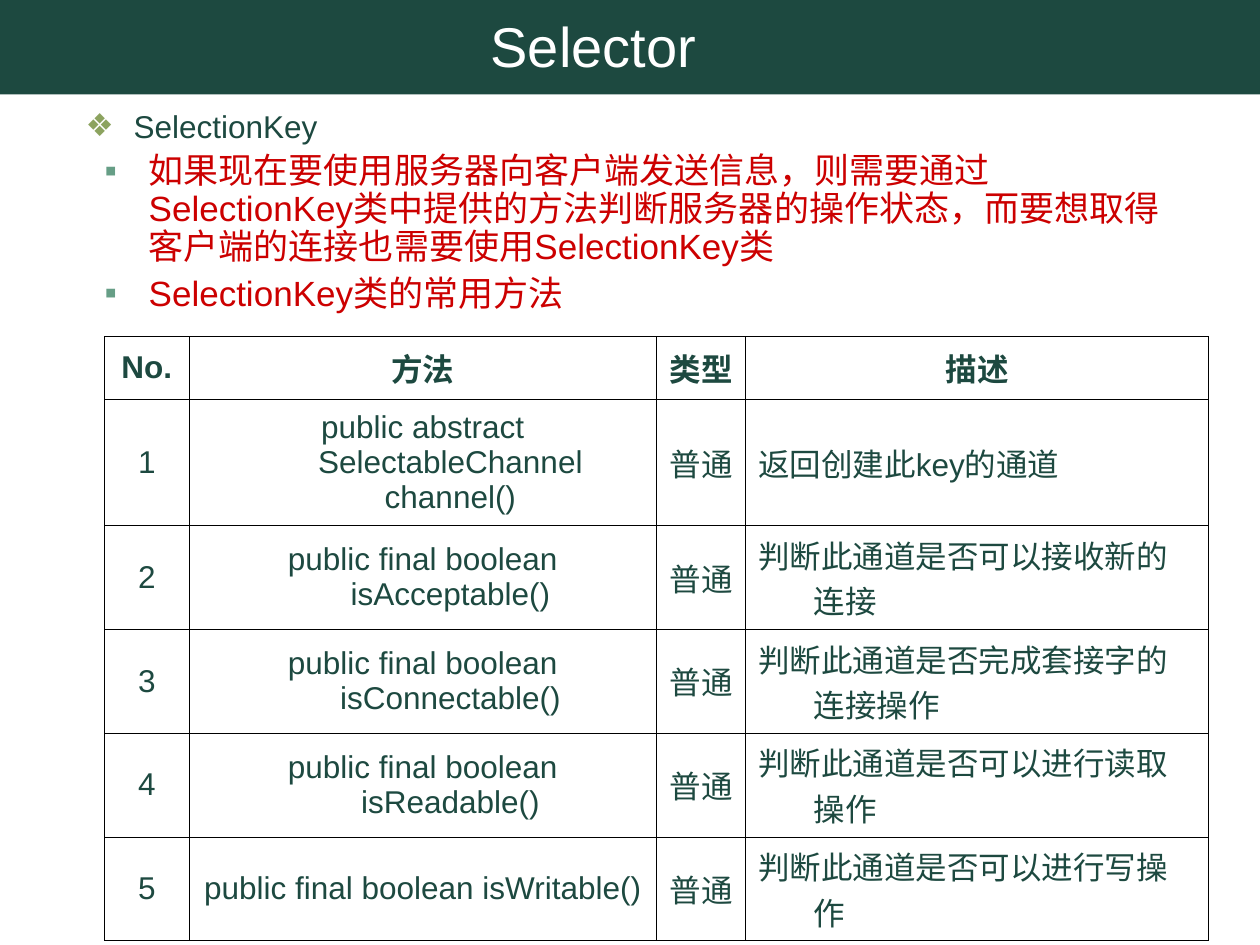
from lxml import etree
from pptx import Presentation
from pptx.dml.color import RGBColor
from pptx.enum.lang import MSO_LANGUAGE_ID
from pptx.enum.shapes import MSO_SHAPE
from pptx.enum.text import MSO_ANCHOR, MSO_AUTO_SIZE, PP_ALIGN
from pptx.oxml.ns import qn
from pptx.util import Inches, Pt

CENTER, LEFT = PP_ALIGN.CENTER, PP_ALIGN.LEFT
MIDDLE, TOP = MSO_ANCHOR.MIDDLE, MSO_ANCHOR.TOP
RECTANGLE = MSO_SHAPE.RECTANGLE
NO_AUTOFIT = MSO_AUTO_SIZE.NONE
CHINESE = MSO_LANGUAGE_ID.SIMPLIFIED_CHINESE

FONT = "Arial"
COLORS = {
    "green": "1D4940",
    "white": "FFFFFF",
    "red": "CC0000",
    "diamond": "8CA35F",
    "square": "669E86",
    "border": "000000",
}

# level, text, size, colour, space before, left margin, indent, bullet, bullet colour
POINT_STYLES = [
    (18, "green", 4.5, 0.38, -0.38, "❖", "diamond"),
    (20, "red", 5, 0.5, -0.35, "▪", "square"),
]
POINTS = [
    (0, "SelectionKey"),
    (1, "如果现在要使用服务器向客户端发送信息，则需要通过SelectionKey类中提供的方法判断服务器的"
        "操作状态，而要想取得客户端的连接也需要使用SelectionKey类"),
    (1, "SelectionKey类的常用方法"),
]

HEADINGS = ["No.", "方法", "类型", "描述"]
METHODS = [
    ("public abstract SelectableChannel channel()", "返回创建此key的通道"),
    ("public final boolean isAcceptable()", "判断此通道是否可以接收新的连接"),
    ("public final boolean isConnectable()", "判断此通道是否完成套接字的连接操作"),
    ("public final boolean isReadable()", "判断此通道是否可以进行读取操作"),
    ("public final boolean isWritable()", "判断此通道是否可以进行写操作"),
]
COLUMN_WIDTHS = [0.67, 3.71, 0.71, 3.67]
ROW_HEIGHTS = [0.5, 1, 0.7, 0.7, 0.7, 0.7]


def color(name):
    """Return the named colour."""
    return RGBColor.from_string(COLORS[name])


def place(shape, left, top, width, height):
    """Move and size a shape, in inches."""
    shape.left, shape.top = Inches(left), Inches(top)
    shape.width, shape.height = Inches(width), Inches(height)


def format_runs(paragraph, size, color_name, bold=False):
    """Format every run of a paragraph."""
    for run in paragraph.runs:
        font = run.font
        font.name, font.size, font.bold = FONT, Pt(size), bold
        font.color.rgb = color(color_name)
        font.language_id = CHINESE


def set_indent(paragraph, margin, indent):
    """Set the left margin and first line indent; return the properties."""
    properties = paragraph._p.get_or_add_pPr()
    properties.set("marL", str(Inches(margin)))
    properties.set("indent", str(Inches(indent)))
    return properties


def add_title(slide, left, top, width, height):
    """Draw the title band and set the title over it."""
    title = slide.shapes.title
    band = slide.shapes.add_shape(
        RECTANGLE, Inches(left), Inches(top), Inches(width), Inches(height))
    band.shadow.inherit = False
    band.fill.solid()
    band.fill.fore_color.rgb = color("green")
    band.line.fill.background()
    title.element.addprevious(band.element)

    place(title, left + 0.68, top + 0.05, 8.08, 0.62)
    frame = title.text_frame
    frame.text = "Selector"
    frame.auto_size = NO_AUTOFIT
    frame.vertical_anchor = MIDDLE
    frame.paragraphs[0].alignment = CENTER
    format_runs(frame.paragraphs[0], 32, "white")


def add_points(slide, left, top, width, height):
    """Fill the body placeholder with the bulleted points."""
    body = slide.placeholders[1]
    place(body, left, top, width, height)
    frame = body.text_frame
    frame.text = "\n".join(text for _, text in POINTS)
    frame.auto_size = NO_AUTOFIT
    frame.vertical_anchor = TOP
    for paragraph, (level, _) in zip(frame.paragraphs, POINTS):
        size, text_color, before, margin, indent, bullet, bullet_color = POINT_STYLES[level]
        paragraph.level = level
        paragraph.alignment = LEFT
        paragraph.line_spacing = 0.9
        paragraph.space_before = Pt(before)
        format_runs(paragraph, size, text_color)
        properties = set_indent(paragraph, margin, indent)
        bullet_fill = etree.SubElement(properties, qn("a:buClr"))
        etree.SubElement(bullet_fill, qn("a:srgbClr"), val=COLORS[bullet_color])
        etree.SubElement(properties, qn("a:buFont"), typeface=FONT)
        etree.SubElement(properties, qn("a:buChar"), char=bullet)


def add_borders(cell):
    """Draw a thin line on each side of a cell."""
    properties = cell._tc.get_or_add_tcPr()
    for side in ("lnL", "lnR", "lnT", "lnB"):
        line = etree.SubElement(properties, qn(f"a:{side}"), w=str(Pt(0.45)))
        fill = etree.SubElement(line, qn("a:solidFill"))
        etree.SubElement(fill, qn("a:srgbClr"), val=COLORS["border"])


def add_method_table(slide, left, top):
    """Add the table of methods with its top left corner at the given place."""
    rows = [HEADINGS] + [
        (str(number), method, "普通", description)
        for number, (method, description) in enumerate(METHODS, 1)]
    table = slide.shapes.add_table(
        len(rows), len(HEADINGS), Inches(left), Inches(top),
        Inches(sum(COLUMN_WIDTHS)), Inches(sum(ROW_HEIGHTS))).table
    table.first_row = table.horz_banding = False
    for column, width in zip(table.columns, COLUMN_WIDTHS):
        column.width = Inches(width)
    for row, height in zip(table.rows, ROW_HEIGHTS):
        row.height = Inches(height)
    for row_index, texts in enumerate(rows):
        is_heading = row_index == 0
        for column_index, text in enumerate(texts):
            cell = table.cell(row_index, column_index)
            cell.text_frame.text = text
            cell.vertical_anchor = MIDDLE
            add_borders(cell)
            cell.fill.background()
            paragraph = cell.text_frame.paragraphs[0]
            is_description = column_index == 3 and not is_heading
            paragraph.alignment = LEFT if is_description else CENTER
            paragraph.space_before = Pt(4.5)
            set_indent(paragraph, 0.44, -0.44)
            format_runs(paragraph, 18, "green", bold=is_heading)


def main():
    """Build and save the presentation."""
    presentation = Presentation()
    presentation.slide_width, presentation.slide_height = Inches(10), Inches(7.5)
    slide = presentation.slides.add_slide(presentation.slide_layouts[1])
    add_title(slide, -0.01, 0, 10.01, 0.75)
    add_points(slide, 0.58, 0.83, 8.92, 2)
    add_method_table(slide, 0.83, 2.67)
    presentation.save("out.pptx")


main()
